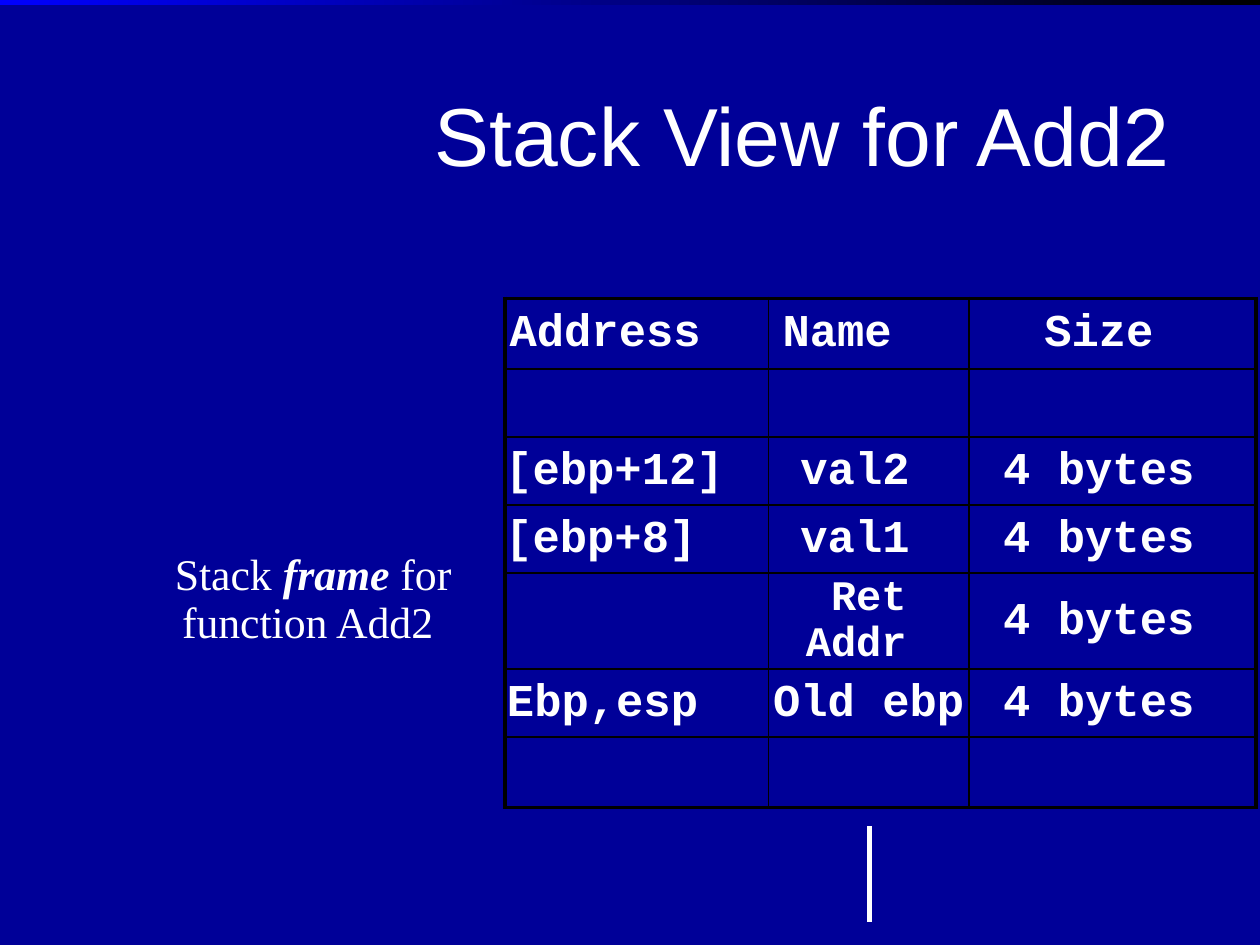
"""Build the stack view slide for the function Add2."""
from dataclasses import dataclass, field
from typing import Any

from lxml.etree import SubElement
from pptx import Presentation
from pptx.dml.color import RGBColor
from pptx.enum.shapes import MSO_CONNECTOR, MSO_SHAPE
from pptx.enum.text import MSO_ANCHOR, MSO_AUTO_SIZE, PP_ALIGN
from pptx.oxml.ns import qn
from pptx.util import Pt

WHITE = RGBColor(0xFF, 0xFF, 0xFF)
BLACK = RGBColor(0, 0, 0)
BLUE = RGBColor(0, 0, 0xFF)
NAVY = RGBColor(0, 0, 0x98)

COLS = (150.5, 114.5, 164.2)
ROWS = (40.3, 38.9, 38.9, 38.9, 54.7, 38.9, 40.3)
OUTER, INNER = 2.4, 0.95
TITLE = {"size": Pt(47), "name": "Arial"}
NOTE = {"size": Pt(25), "name": "Times New Roman"}
CODE = {"size": Pt(26), "name": "Courier New", "bold": True}


@dataclass
class Entry:
    text: str
    align: Any = PP_ALIGN.CENTER
    left: float = 0
    font: dict = field(default_factory=dict)


def label(text: str, left: float = 1) -> Entry:
    """Return a left-aligned entry."""
    return Entry(text, PP_ALIGN.LEFT, left)


BYTES = Entry("4 bytes ")
ENTRIES = {
    (0, 0): label("Address ", 2.5), (0, 1): label("Name ", 8), (0, 2): Entry("Size "),
    (2, 0): label("[ebp+12] ", 0), (2, 1): Entry("val2 "), (2, 2): BYTES,
    (3, 0): label("[ebp+8] ", 0), (3, 1): Entry("val1 "), (3, 2): BYTES,
    (4, 1): Entry("Ret Addr ", font={"size": Pt(24)}), (4, 2): BYTES,
    (5, 0): label("Ebp,esp "), (5, 1): Entry("Old ebp "), (5, 2): BYTES,
}


def set_all(target: Any, values: dict) -> None:
    """Set every named attribute on the target."""
    for name, value in values.items():
        setattr(target, name, value)


def add_run(p: Any, text: str, fmt: dict) -> None:
    """Add one white run to a paragraph."""
    r = p.add_run()
    r.text = text
    set_all(r.font, fmt)
    r.font.color.rgb = WHITE


def place(sp: Any, box: tuple, top: float) -> Any:
    """Move a placeholder and return its prepared text frame."""
    set_all(sp, dict(zip(("left", "top", "width", "height"), map(Pt, box))))
    tf = sp.text_frame
    set_all(tf, {"margin_left": 0, "margin_top": Pt(top), "margin_right": 0,
                 "margin_bottom": 0, "word_wrap": True,
                 "auto_size": MSO_AUTO_SIZE.NONE, "vertical_anchor": MSO_ANCHOR.TOP})
    return tf


def format_paragraph(p: Any, align: Any, line: float, before: float = 0,
                     after: float = 0, indent: float = 0) -> None:
    """Set spacing and indent and turn the bullet off."""
    set_all(p, {"alignment": align, "line_spacing": line,
                "space_before": Pt(before), "space_after": Pt(after)})
    pPr = p._p.get_or_add_pPr()
    pPr.set("marL", str(Pt(indent)))
    pPr.set("indent", "0")
    SubElement(pPr, qn("a:buNone"))


def add_backdrop(s: Any) -> None:
    """Draw the gradient background and the navy panel behind everything."""
    fill = s.background.fill
    fill.gradient()
    fill.gradient_angle = 0
    for stop, color in zip(fill.gradient_stops, (BLUE, BLACK)):
        stop.color.rgb = color
    sp = s.shapes.add_shape(MSO_SHAPE.RECTANGLE, Pt(-11.5), Pt(3), Pt(756), Pt(576))
    sp.shadow.inherit = False
    sp.fill.solid()
    sp.fill.fore_color.rgb = NAVY
    sp.line.fill.background()
    s.shapes._spTree.insert(2, sp._element)


def add_border(cell: Any, side: str, width: float) -> None:
    """Add one black border to a cell."""
    ln = SubElement(cell._tc.get_or_add_tcPr(), qn(f"a:ln{side}"), w=str(Pt(width)))
    SubElement(SubElement(ln, qn("a:solidFill")), qn("a:srgbClr"), val=str(BLACK))


def add_stack(s: Any) -> None:
    """Draw the stack table."""
    table = s.shapes.add_table(len(ROWS), len(COLS), Pt(288.7), Pt(170.6),
                               Pt(sum(COLS)), Pt(sum(ROWS))).table
    set_all(table, {"first_row": False, "horz_banding": False})
    for col, width in zip(table.columns, COLS):
        col.width = Pt(width)
    for i, height in enumerate(ROWS):
        table.rows[i].height = Pt(height)
        for j in range(len(COLS)):
            cell = table.cell(i, j)
            edges = {"L": j == 0, "R": j == len(COLS) - 1,
                     "T": i == 0, "B": i == len(ROWS) - 1}
            for side, outer in edges.items():
                add_border(cell, side, OUTER if outer else INNER)
            cell.fill.solid()
            cell.fill.fore_color.rgb = NAVY
            entry = ENTRIES.get((i, j))
            if entry:
                set_all(cell, {"margin_left": Pt(entry.left), "margin_top": 0,
                               "margin_right": 0, "margin_bottom": 0,
                               "vertical_anchor": MSO_ANCHOR.MIDDLE})
                p = cell.text_frame.paragraphs[0]
                set_all(p, {"alignment": entry.align, "line_spacing": 0.96})
                add_run(p, entry.text, CODE | entry.font)


def main() -> None:
    """Build and save the slide."""
    prs = Presentation()
    set_all(prs, {"slide_width": Pt(720), "slide_height": Pt(540)})
    s = prs.slides.add_slide(prs.slide_layouts[1])
    add_backdrop(s)

    p = place(s.shapes.title, (-18, 5.8, 756, 177.8), 51.8).paragraphs[0]
    format_paragraph(p, PP_ALIGN.LEFT, 0.83, after=75.6, indent=266.4)
    add_run(p, "Stack View for Add2", TITLE)

    tf = place(s.placeholders[1], (97.9, 195.8, 162, 331.2), 118.8)
    p = tf.paragraphs[0]
    format_paragraph(p, PP_ALIGN.CENTER, 0.96)
    add_run(p, "Stack ", NOTE)
    add_run(p, "frame ", NOTE | {"bold": True, "italic": True})
    add_run(p, "for ", NOTE)
    p = tf.add_paragraph()
    format_paragraph(p, PP_ALIGN.CENTER, 0.82, before=1.8, after=153)
    add_run(p, "function Add2 ", NOTE)

    add_stack(s)
    line = s.shapes.add_connector(MSO_CONNECTOR.STRAIGHT, Pt(496.8), Pt(472.3),
                                  Pt(496.8), Pt(527))
    line.line.color.rgb = WHITE
    line.line.width = Pt(2.9)
    SubElement(line._element.spPr, qn("a:effectLst"))
    prs.save("out.pptx")


if __name__ == "__main__":
    main()
